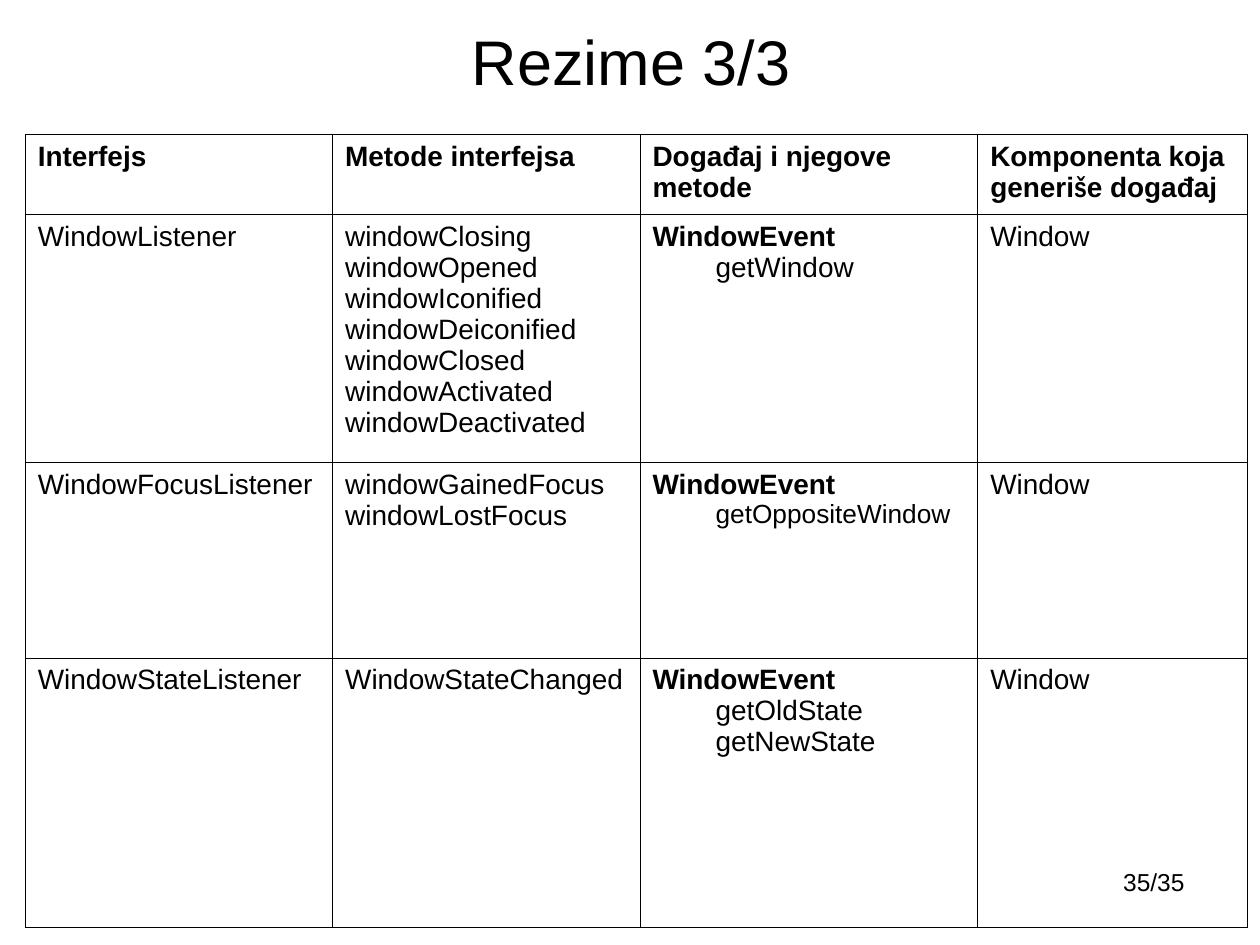
from dataclasses import dataclass

from lxml import etree
from pptx import Presentation
from pptx import util as u
from pptx.dml.color import RGBColor
from pptx.enum import text
from pptx.oxml.ns import qn


@dataclass(frozen=True)
class Theme:
    """Colours, fonts and type sizes."""
    ink: str = "000000"
    font: str = "Arial"
    narrow: str = "Arial Narrow"
    title: float = 36
    body: float = 16
    compact: float = 15
    footer: float = 14
    border: float = 0.45


THEME = Theme()

# Paragraph kinds: bold, left margin and first-line indent in inches
KINDS = {
    "heading": (True, 0, 0),
    "event": (True, 0, 0),
    "item": (False, 0.38, -0.38),
    "method": (False, 0.5, 0),
}


def items(*names):
    return [("item", name) for name in names]


def event(*methods):
    return [("event", "WindowEvent")] + [("method", name) for name in methods]


# Each cell is a list of (kind, text); a text may be a list of (text, format) runs
HEADINGS = [
    "Interfejs",
    "Metode interfejsa",
    "Događaj i njegove metode",
    [("Komponenta koja generi", {}), ("š", {"name": THEME.narrow}), ("e događaj", {})],
]
ROWS = [
    [[("heading", heading)] for heading in HEADINGS],
    [items("WindowListener"),
     items("windowClosing", "windowOpened", "windowIconified", "windowDeiconified",
           "windowClosed", "windowActivated", "windowDeactivated"),
     event("getWindow"),
     items("Window")],
    [items("WindowFocusListener"),
     items("windowGainedFocus", "windowLostFocus"),
     event([("getOppositeWindow", {"size": u.Pt(THEME.compact)})]),
     items("Window")],
    [items("WindowStateListener"),
     items("WindowStateChanged"),
     event("getOldState", "getNewState"),
     items("Window")],
]
COLUMN_WIDTHS = [2.44, 2.44, 2.68, 2.14]
ROW_HEIGHTS = [0.63, 1.97, 1.55, 2.14]


class SlideBuilder:
    """Holds the theme and the current slide."""

    def __init__(self, slide, theme):
        self.slide = slide
        self.theme = theme

    def add_run(self, paragraph, content, size, **changes):
        run = paragraph.add_run()
        run.text = content
        values = {"name": self.theme.font, "size": u.Pt(size), "bold": False} | changes
        for name, value in values.items():
            setattr(run.font, name, value)
        run.font.color.rgb = RGBColor.from_string(self.theme.ink)

    def write_line(self, frame, content, size, alignment):
        paragraph = frame.paragraphs[0]
        paragraph.alignment = alignment
        self.add_run(paragraph, content, size)

    def title(self, content, left, top, width, height):
        shape = self.slide.shapes.title
        place = {"left": left, "top": top, "width": width, "height": height}
        for name, value in place.items():
            setattr(shape, name, u.Inches(value))
        frame = shape.text_frame
        frame.auto_size = text.MSO_AUTO_SIZE.NONE
        frame.vertical_anchor = text.MSO_ANCHOR.MIDDLE
        self.write_line(frame, content, self.theme.title, text.PP_ALIGN.CENTER)

    def page_number(self, content, *place):
        shape = self.slide.shapes.add_textbox(*map(u.Inches, place))
        shape.text_frame.word_wrap = True
        self.write_line(shape.text_frame, content, self.theme.footer, text.PP_ALIGN.RIGHT)

    def table(self, rows, left, top, widths, heights):
        frame = self.slide.shapes.add_table(
            len(heights), len(widths), u.Inches(left), u.Inches(top),
            u.Inches(sum(widths)), u.Inches(sum(heights)))
        table = frame.table
        table.first_row = table.horz_banding = False
        for column, width in zip(table.columns, widths):
            column.width = u.Inches(width)
        for row, height in zip(table.rows, heights):
            row.height = u.Inches(height)
        for row, contents in zip(table.rows, rows):
            for cell, lines in zip(row.cells, contents):
                self.cell_borders(cell)
                cell.fill.background()
                self.cell_text(cell.text_frame, lines)

    def cell_borders(self, cell):
        properties = cell._tc.get_or_add_tcPr()
        for side in ("lnL", "lnR", "lnT", "lnB"):
            line = etree.SubElement(properties, qn(f"a:{side}"),
                                    w=str(u.Pt(self.theme.border)))
            fill = etree.SubElement(line, qn("a:solidFill"))
            etree.SubElement(fill, qn("a:srgbClr"), val=self.theme.ink)

    def cell_text(self, frame, lines):
        for number, (kind, content) in enumerate(lines):
            paragraph = frame.add_paragraph() if number else frame.paragraphs[0]
            bold, margin, indent = KINDS[kind]
            paragraph.level = 1 if kind == "method" else 0
            properties = paragraph._p.get_or_add_pPr()
            properties.set("marL", str(u.Inches(margin)))
            properties.set("indent", str(u.Inches(indent)))
            runs = [(content, {})] if isinstance(content, str) else content
            for part, changes in runs:
                self.add_run(paragraph, part, **({"size": self.theme.body, "bold": bold}
                             | {k: v.pt if k == "size" else v for k, v in changes.items()}))


def main():
    presentation = Presentation()
    presentation.slide_width = u.Inches(10)
    presentation.slide_height = u.Inches(7.5)
    slide = presentation.slides.add_slide(presentation.slide_layouts[5])
    builder = SlideBuilder(slide, THEME)

    # Title and page number
    builder.title("Rezime 3/3", 0.51, 0.21, 9, 0.54)
    builder.page_number("35/35", 7.17, 6.83, 2.33, 0.52)

    # Listener interfaces, their methods, events and sources
    builder.table(ROWS, 0.2, 1.07, COLUMN_WIDTHS, ROW_HEIGHTS)

    presentation.save("out.pptx")


if __name__ == "__main__":
    main()
